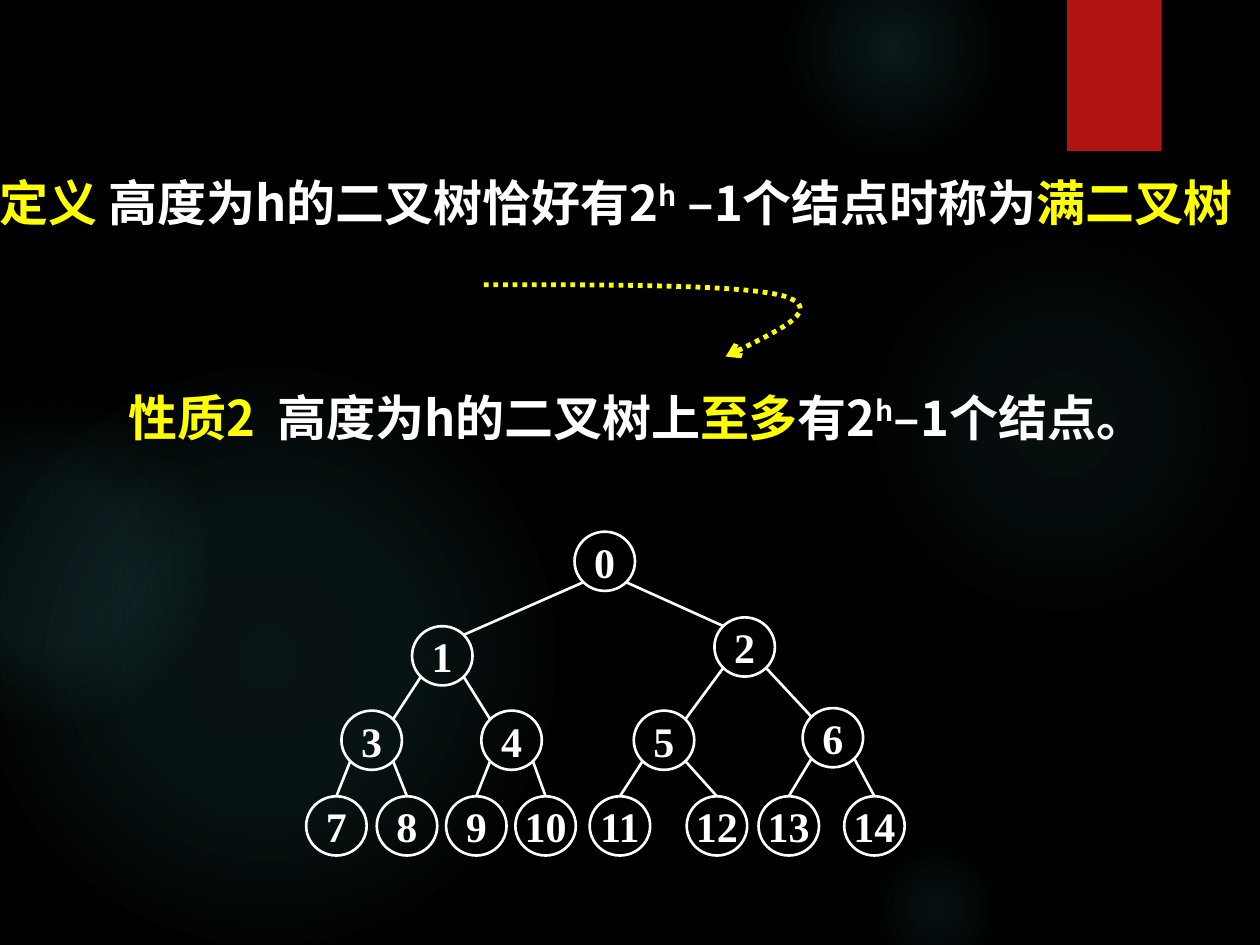
from itertools import islice
from math import sqrt

from lxml import etree
from pptx import Presentation
from pptx import util as u
from pptx.dml.color import RGBColor
from pptx.enum import dml, shapes, text
from pptx.oxml import parse_xml
from pptx.oxml.ns import nsdecls, qn

BLACK = RGBColor(0x00, 0x00, 0x00)
WHITE = RGBColor(0xFF, 0xFF, 0xFF)
YELLOW = RGBColor(0xFF, 0xFF, 0x00)
RED = RGBColor(0xB0, 0x15, 0x13)
TEAL = RGBColor(0x50, 0xB9, 0xC1)

NODE_W, NODE_H = 0.48, 0.47
# Left and top of each node, in level order
NODES = [(4.56, 4.22),
         (3.27, 4.97), (5.67, 4.9),
         (2.71, 5.64), (3.82, 5.64), (5.03, 5.64), (6.37, 5.62),
         *[(x, 6.32) for x in (2.43, 2.99, 3.54, 4.09, 4.68, 5.45, 6.02, 6.7)]]

# Left, top, diameter, then (position, opacity) stops in percent
GLOWS = [(6.89, 1.83, 3.08, [(0, 7), (36, 6), (69, 0)]),
         (6.22, -0.5, 1.75, [(0, 14), (36, 7), (73, 0)]),
         (6.89, 6.67, 1.08, [(0, 9), (36, 5), (66, 0)]),
         (-0.17, 2.92, 4.58, [(0, 11), (36, 10), (75, 0)]),
         (-0.92, 3.17, 2.58, [(0, 8), (36, 8), (72, 0)])]

DEFINITION = [("定义 ", YELLOW, 0), ("高度为h的二叉树恰好有2", WHITE, 0), ("h", WHITE, 30),
              (" –1个结点时称为", WHITE, 0), ("满二叉树", YELLOW, 0)]
PROPERTY = [("性质2  ", YELLOW, 0), ("高度为h的二叉树上", WHITE, 0), ("至多", YELLOW, 0),
            ("有2", WHITE, 0), ("h", WHITE, 30), ("–1个结点。", WHITE, 0)]

# Start point, then two controls and an end point for each curve
ARROW = [(3.84, 2.26),
         (4.87, 2.26), (5.9, 2.26), (6.22, 2.35),
         (6.54, 2.45), (6.15, 2.64), (5.76, 2.83)]


class Slide:
    text_font, node_font = "Noto Sans CJK SC", "Times New Roman"
    text_size, node_size = u.Pt(28), u.Pt(24)
    thin, thick = u.Pt(1.5), u.Pt(2.75)

    def __init__(self, s):
        self.s = s
        s.background.fill.solid()
        s.background.fill.fore_color.rgb = BLACK

    def shape(self, kind, *box):
        sp = self.s.shapes.add_shape(kind, *map(u.Inches, box))
        sp.shadow.inherit = False
        sp.fill.background()
        sp.line.fill.background()
        return sp

    def glow(self, x, y, d, stops):
        """Add a disc that fades out from its centre."""
        sp = self.shape(shapes.MSO_SHAPE.OVAL, x, y, d, d)
        gs = "".join(f'<a:gs pos="{pos * 1000}"><a:srgbClr val="{TEAL}">'
                     f'<a:alpha val="{alpha * 1000}"/></a:srgbClr></a:gs>'
                     for pos, alpha in stops)
        spPr = sp._element.spPr
        spPr.replace(spPr.find(qn("a:noFill")), parse_xml(
            f'<a:gradFill {nsdecls("a")}><a:gsLst>{gs}</a:gsLst><a:path path="circle">'
            '<a:fillToRect l="50000" t="50000" r="50000" b="50000"/></a:path></a:gradFill>'))

    def ribbon(self, *box):
        sp = self.shape(shapes.MSO_SHAPE.RECTANGLE, *box)
        sp.fill.solid()
        sp.fill.fore_color.rgb = RED
        sp._element.spPr.find(qn("a:effectLst")).append(parse_xml(
            f'<a:outerShdw {nsdecls("a")} blurRad="{u.Pt(3)}" dist="{u.Pt(2)}" dir="5400000">'
            '<a:srgbClr val="000000"><a:alpha val="45000"/></a:srgbClr></a:outerShdw>'))

    def node(self, label, x, y):
        sp = self.shape(shapes.MSO_SHAPE.OVAL, x, y, NODE_W, NODE_H)
        sp.line.color.rgb = WHITE
        sp.line.width = self.thin
        tf = sp.text_frame
        tf.text = str(label)
        tf.word_wrap = False
        tf.vertical_anchor = text.MSO_ANCHOR.MIDDLE
        p = tf.paragraphs[0]
        p.alignment = text.PP_ALIGN.CENTER
        self.format(p.runs[0], self.node_font, self.node_size, WHITE)
        return sp

    def edge(self, parent, child, side):
        """Join two nodes; side is -1 for a left child and 1 for a right one."""
        def rim(sp, dx, dy):
            return (int(sp.left + sp.width / 2 * (1 + dx / sqrt(2))),
                    int(sp.top + sp.height / 2 * (1 + dy / sqrt(2))))

        c = self.s.shapes.add_connector(shapes.MSO_CONNECTOR.STRAIGHT,
                                        *rim(parent, side, 1), *rim(child, -side, -1))
        if child.top > u.Inches(6):
            c.end_connect(child, 0)
        c.line.color.rgb = WHITE
        c.line.width = self.thin
        etree.SubElement(c._element.spPr, qn("a:effectLst"))

    def curved_arrow(self, points):
        fb = self.s.shapes.build_freeform(*map(u.Inches, points[0]), scale=1.0)
        fb.add_line_segments([tuple(map(u.Inches, pt)) for pt in points[1:]], close=False)
        sp = fb.convert_to_shape()
        path = sp._element.spPr.find(".//" + qn("a:path"))
        lines = iter(path.findall(qn("a:lnTo")))
        while trio := list(islice(lines, 3)):
            curve = etree.SubElement(path, qn("a:cubicBezTo"))
            for line in trio:
                curve.append(line[0])
                path.remove(line)
        sp.shadow.inherit = False
        sp.fill.background()
        sp.line.color.rgb = YELLOW
        sp.line.width = self.thick
        sp.line.dash_style = dml.MSO_LINE.ROUND_DOT
        etree.SubElement(sp.line._get_or_add_ln(), qn("a:tailEnd"), type="arrow")

    def statement(self, runs, *box, align=text.PP_ALIGN.LEFT):
        """Add a text box from (wording, colour, superscript percent) runs."""
        tf = self.s.shapes.add_textbox(*map(u.Inches, box)).text_frame
        tf.word_wrap = True
        tf.auto_size = text.MSO_AUTO_SIZE.SHAPE_TO_FIT_TEXT
        p = tf.paragraphs[0]
        p.alignment = align
        p.line_spacing = 1.1
        for wording, color, raised in runs:
            r = p.add_run()
            r.text = wording
            self.format(r, self.text_font, self.text_size, color)
            if raised:
                r.font._element.set("baseline", str(raised * 1000))

    def format(self, r, font, size, color):
        r.font.name, r.font.size, r.font.bold = font, size, True
        r.font.color.rgb = color
        etree.SubElement(r.font._element, qn("a:ea"), typeface=font)


def main():
    prs = Presentation()
    prs.slide_width, prs.slide_height = u.Inches(10), u.Inches(7.5)
    slide = Slide(prs.slides.add_slide(prs.slide_layouts[6]))

    for glow in GLOWS:
        slide.glow(*glow)
    slide.ribbon(8.47, 0, 0.75, 1.2)
    slide.statement(DEFINITION, -0.1, 1.27, 10.04, 0.62, align=text.PP_ALIGN.JUSTIFY)

    nodes = [slide.node(i, x, y) for i, (x, y) in enumerate(NODES)]
    for i, child in enumerate(nodes[1:], start=1):
        slide.edge(nodes[(i - 1) // 2], child, -1 if i % 2 else 1)

    slide.curved_arrow(ARROW)
    slide.statement(PROPERTY, 0.92, 2.98, 8.35, 0.62)
    prs.save("out.pptx")


if __name__ == "__main__":
    main()
